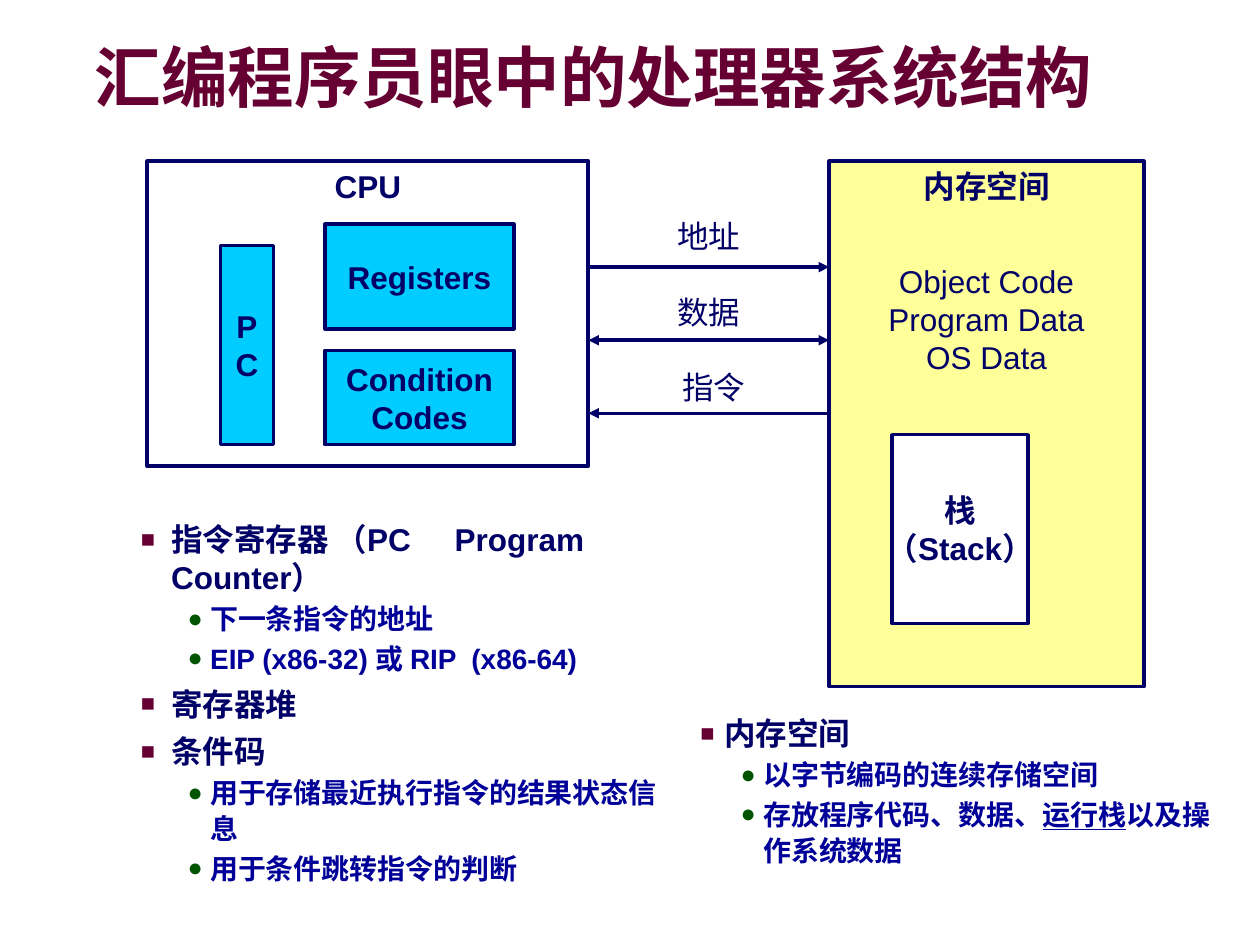
from lxml import etree
from pptx import Presentation
from pptx.dml.color import RGBColor
from pptx.enum.shapes import MSO_CONNECTOR, MSO_SHAPE
from pptx.enum.text import MSO_ANCHOR, PP_ALIGN
from pptx.oxml.ns import qn
from pptx.util import Inches, Pt

RECTANGLE = MSO_SHAPE.RECTANGLE
STRAIGHT = MSO_CONNECTOR.STRAIGHT
TOP, MIDDLE = MSO_ANCHOR.TOP, MSO_ANCHOR.MIDDLE
LEFT, CENTER = PP_ALIGN.LEFT, PP_ALIGN.CENTER
FONT = "Arial"
NAVY, BLUE, MAROON, GREEN = "000066", "000099", "660033", "005400"
CYAN, YELLOW, WHITE, GREY = "00CCFF", "FFFF99", "FFFFFF", "969696"
LEVELS = {
    1: dict(size=18, color=NAVY, before=5.6, spacing=1.0,
            bullet="■", bullet_color=MAROON, bullet_size=75),
    2: dict(size=16, color=BLUE, before=2, spacing=1.07,
            bullet="●", bullet_color=GREEN, bullet_size=90),
}


def rgb(value):
    return RGBColor.from_string(value)


def add_node(parent, tag, **attributes):
    node = etree.SubElement(parent, qn(tag))
    for name, value in attributes.items():
        node.set(name, str(value))
    return node


def add_span(para, text, size=18, color=NAVY, bold=False, underline=False, tracking=0):
    span = para.add_run()
    span.text = text
    span.font.name = FONT
    span.font.size = Pt(size)
    span.font.bold = bold
    span.font.color.rgb = rgb(color)
    if underline:
        span.font.underline = True
    if tracking:
        span.font._element.set("spc", str(tracking * 100))
    return span


def write_lines(frame, lines, align=CENTER, anchor=TOP, wrap=True, **style):
    frame.word_wrap = wrap
    frame.vertical_anchor = anchor
    for index, line in enumerate(lines):
        para = frame.add_paragraph() if index else frame.paragraphs[0]
        para.alignment = align
        add_span(para, line, **style)


def add_label(page, box, lines, **style):
    label = page.shapes.add_textbox(*map(Inches, box))
    write_lines(label.text_frame, lines, **style)
    return label


def add_block(page, box, lines, fill=None, weight=2, **style):
    block = page.shapes.add_shape(RECTANGLE, *map(Inches, box))
    block.shadow.inherit = False
    if fill:
        block.fill.solid()
        block.fill.fore_color.rgb = rgb(fill)
    else:
        block.fill.background()
    block.line.color.rgb = rgb(NAVY)
    block.line.width = Pt(weight)
    write_lines(block.text_frame, lines, bold=True, **style)


def add_title(page, box, text):
    title = add_label(page, box, [text], align=LEFT, anchor=MIDDLE,
                      size=38, color=MAROON, bold=True)
    frame = title.text_frame
    frame.margin_left = frame.margin_right = frame.margin_top = frame.margin_bottom = 0
    para = frame.paragraphs[0]
    para.line_spacing = 0.87
    effects = etree.Element(qn("a:effectLst"))
    shadow = add_node(effects, "a:outerShdw", dist=35921, dir=2700000)
    add_node(shadow, "a:srgbClr", val=GREY)
    para.runs[0].font._element.find(qn("a:solidFill")).addnext(effects)


def add_cpu(page, box):
    left, top, width, height = box
    inner = dict(fill=CYAN, anchor=MIDDLE, wrap=False)
    add_block(page, (left + 0.58, top + 0.67, 0.42, 1.58), ["P", "C"], **inner)
    add_block(page, (left + 1.41, top + 0.5, 1.5, 0.83), ["Registers"], **inner)
    add_block(page, (left + 1.41, top + 1.5, 1.5, 0.75), ["Condition", "Codes"], **inner)
    add_block(page, box, ["CPU"], weight=2.25)


def add_memory(page, box):
    left, top, width, height = box
    add_block(page, box, ["内存空间"], fill=YELLOW, wrap=False)
    add_label(page, (left, top + 0.75, width, 1),
              ["Object Code", "Program Data", "OS Data"])
    add_block(page, (left + 0.5, top + 2.17, 1.08, 1.5), ["栈", "（Stack）"],
              fill=WHITE, anchor=MIDDLE, wrap=False)


def add_buses(page, box):
    left, top, width, height = box
    buses = [("地址", ["a:tailEnd"], 0, 0),
             ("数据", ["a:headEnd", "a:tailEnd"], 0.03, 0),
             ("指令", ["a:headEnd"], 0.04, 0.08)]
    for index, (name, ends, drop, shift) in enumerate(buses):
        y = top + index * height / 2
        arrow = page.shapes.add_connector(
            STRAIGHT, Inches(left), Inches(y), Inches(left + width), Inches(y))
        arrow.line.color.rgb = rgb(NAVY)
        arrow.line.width = Pt(2)
        outline = arrow.line._get_or_add_ln()
        for end in ends:
            add_node(outline, end, type="triangle")
        add_node(arrow._element.spPr, "a:effectLst")
        add_label(page, (left + shift, y - 0.45 + drop, width - shift, 0.4), [name])


def add_notes_list(page, box, indents, items):
    frame = page.shapes.add_textbox(*map(Inches, box)).text_frame
    frame.word_wrap = True
    for index, (level, spans) in enumerate(items):
        look = LEVELS[level]
        margin, hanging = indents[level]
        para = frame.add_paragraph() if index else frame.paragraphs[0]
        para.level = level - 1
        para.space_before = Pt(look["before"])
        para.line_spacing = look["spacing"]
        properties = para._p.get_or_add_pPr()
        properties.set("marL", str(Inches(margin)))
        properties.set("indent", str(-Inches(hanging)))
        tint = add_node(properties, "a:buClr")
        add_node(tint, "a:srgbClr", val=look["bullet_color"])
        add_node(properties, "a:buSzPct", val=look["bullet_size"] * 1000)
        add_node(properties, "a:buFont", typeface=FONT)
        add_node(properties, "a:buChar", char=look["bullet"])
        for text, extra in spans:
            add_span(para, text, size=look["size"], color=look["color"], bold=True, **extra)


def main():
    deck = Presentation()
    deck.slide_width, deck.slide_height = Inches(10), Inches(7.5)
    page = deck.slides.add_slide(deck.slide_layouts[6])
    add_title(page, (0.75, 0.33, 8.75, 0.63), "汇编程序员眼中的处理器系统结构")
    add_cpu(page, (1.17, 1.28, 3.5, 2.42))
    add_memory(page, (6.58, 1.28, 2.5, 4.17))
    add_buses(page, (4.67, 2.12, 1.91, 1.16))
    add_notes_list(page, (0.65, 4.08, 4.77, 3.05), {1: (0.61, 0.24), 2: (0.92, 0.18)}, [
        (1, [("指令寄存器 （PC", {}), (" ", {"tracking": 20}), ("Program Counter）", {})]),
        (2, [("下一条指令的地址", {})]),
        (2, [("EIP (x86-32) 或 RIP  (x86-64)", {})]),
        (1, [("寄存器堆", {})]),
        (1, [("条件码", {})]),
        (2, [("用于存储最近执行指令的结果状态信息", {})]),
        (2, [("用于条件跳转指令的判断", {})]),
    ])
    add_notes_list(page, (5.33, 5.62, 4.46, 1.72), {1: (0.32, 0.19), 2: (0.63, 0.18)}, [
        (1, [("内存空间", {})]),
        (2, [("以字节编码的连续存储空间", {})]),
        (2, [("存放程序代码、数据、", {}), ("运行栈", {"underline": True}),
             ("以及操作系统数据", {})]),
    ])
    deck.save("out.pptx")


if __name__ == "__main__":
    main()
